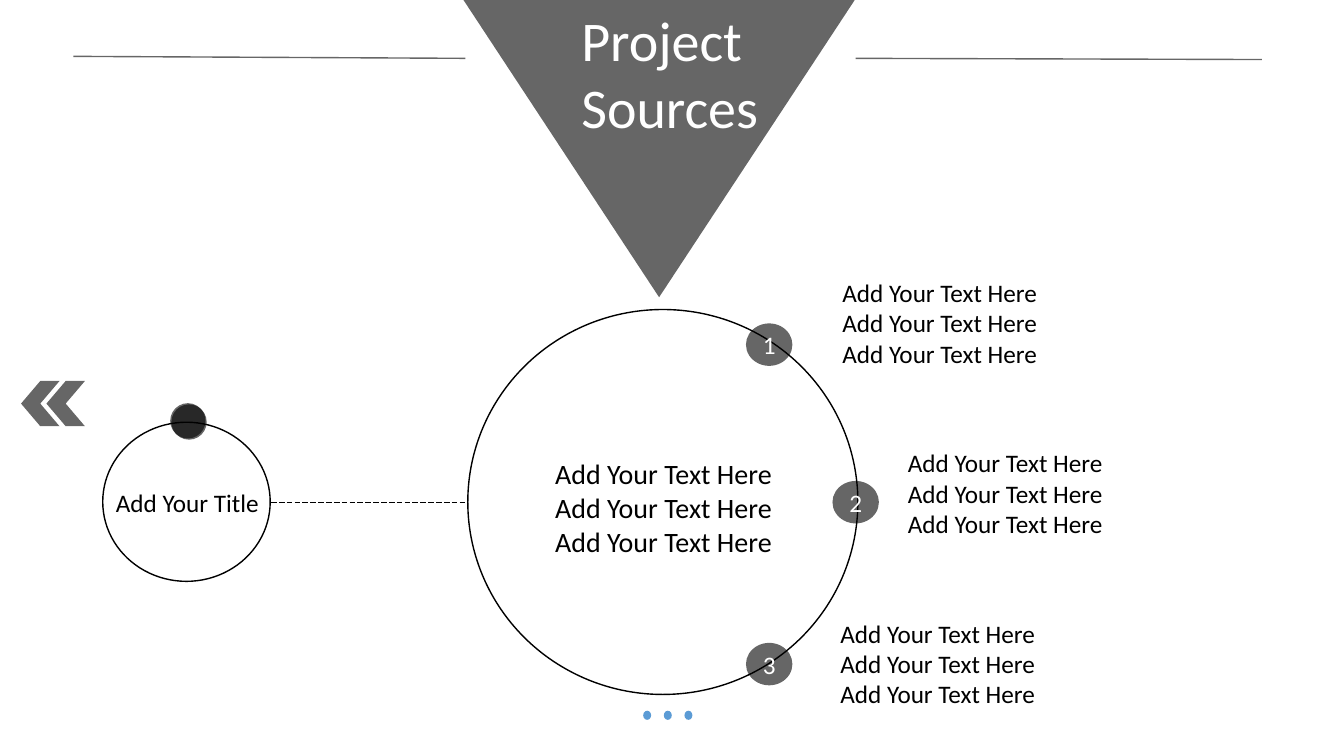
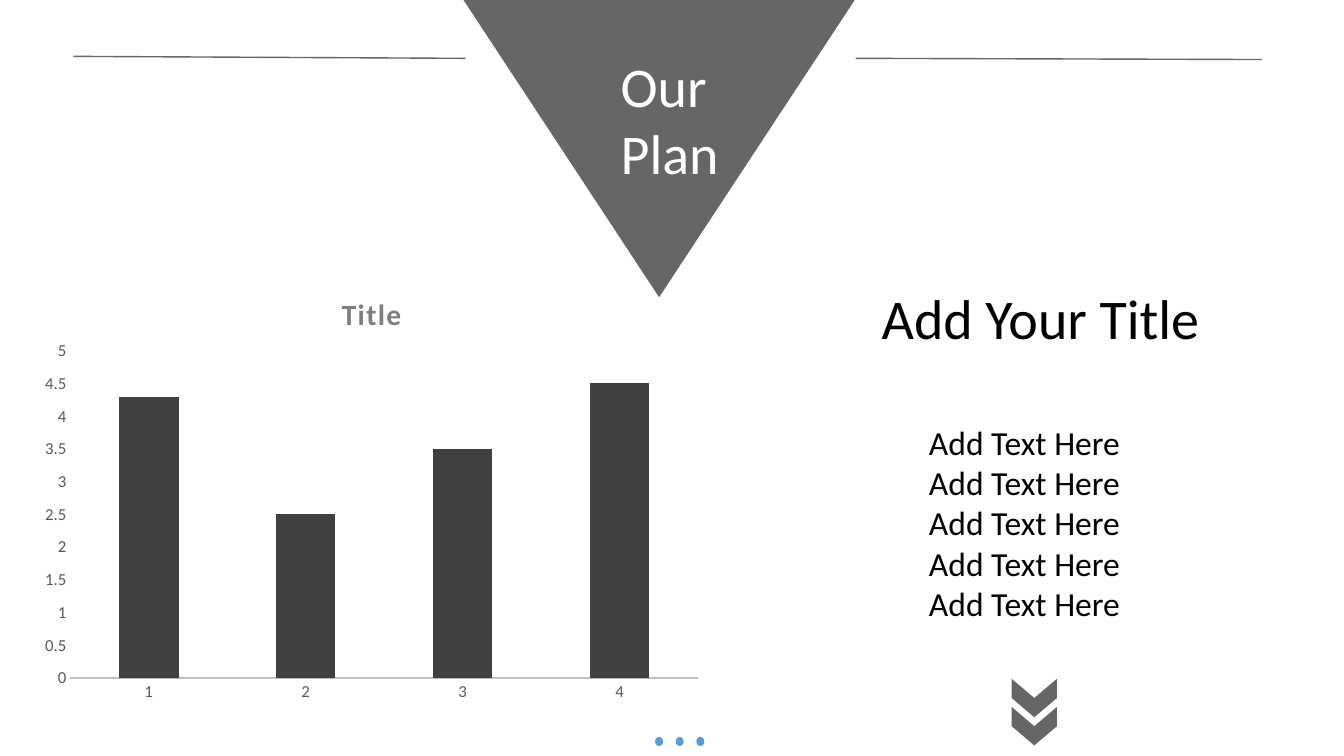
"""Build two slides that share a triangular title banner."""
import pptx
import pptx.chart.data
import pptx.dml.color
import pptx.enum.chart
import pptx.enum.dml
import pptx.enum.shapes
import pptx.enum.text
import pptx.oxml
import pptx.oxml.ns
import pptx.util

Cm = pptx.util.Cm
Pt = pptx.util.Pt
SHAPE = pptx.enum.shapes.MSO_SHAPE
ALIGN = pptx.enum.text.PP_ALIGN
ANCHOR = pptx.enum.text.MSO_ANCHOR

FONT = "Calibri"
BLACK = "000000"
WHITE = "FFFFFF"
BLUE = "5B9BD5"
BAR_GREY = "404040"
AXIS_GREY = "595959"
AXIS_LINE_GREY = "BFBFBF"
CHART_TITLE_GREY = "7F7F7F"
BANNER_OPACITY = 60
LINE_OF_TEXT = "Add Your Text Here"


def color(hex_string):
    """Return the RGB colour of a hex string."""
    return pptx.dml.color.RGBColor.from_string(hex_string)


def set_opacity(shape, percent):
    """Make the fill and line colours of a shape partly transparent."""
    for element in shape.element.spPr.iter(pptx.oxml.ns.qn("a:srgbClr")):
        alpha = element.makeelement(pptx.oxml.ns.qn("a:alpha"), {"val": str(percent * 1000)})
        element.append(alpha)


def set_font(font, size, hex_string, bold=False):
    """Format a font."""
    font.name = FONT
    font.size = Pt(size)
    font.bold = bold
    font.color.rgb = color(hex_string)


def write_text(shape, text, size=18, hex_string=BLACK, align=ALIGN.LEFT,
               anchor=ANCHOR.TOP, inset=(0.25, 0.13)):
    """Write each line of the text as an unbulleted paragraph of the shape."""
    frame = shape.text_frame
    frame.text = text
    frame.word_wrap = True
    frame.auto_size = pptx.enum.text.MSO_AUTO_SIZE.NONE
    frame.vertical_anchor = anchor
    frame.margin_left = frame.margin_right = Cm(inset[0])
    frame.margin_top = frame.margin_bottom = Cm(inset[1])
    for paragraph in frame.paragraphs:
        properties = paragraph._p.get_or_add_pPr()
        properties.set("marL", "0")
        properties.set("indent", "0")
        properties.append(properties.makeelement(pptx.oxml.ns.qn("a:buNone"), {}))
        paragraph.alignment = align
        paragraph.space_before = Pt(0)
        for run in paragraph.runs:
            set_font(run.font, size, hex_string)


def place(shape, left, top, width, height):
    """Move and size a placeholder."""
    shape.left, shape.top = Cm(left), Cm(top)
    shape.width, shape.height = Cm(width), Cm(height)


def add_text(slide, text, left, top, width, height, **text_format):
    """Add a text box."""
    box = slide.shapes.add_textbox(Cm(left), Cm(top), Cm(width), Cm(height))
    write_text(box, text, **text_format)


def add_shape(slide, kind, left, top, width, height, fill=None, line=None,
              opacity=100, rotation=0):
    """Add a preset shape without shadow."""
    shape = slide.shapes.add_shape(kind, Cm(left), Cm(top), Cm(width), Cm(height))
    shape.shadow.inherit = False
    shape.rotation = rotation
    if fill:
        shape.fill.solid()
        shape.fill.fore_color.rgb = color(fill)
    else:
        shape.fill.background()
    if line:
        shape.line.color.rgb = color(line)
        shape.line.width = Pt(1)
    else:
        shape.line.fill.background()
    if opacity < 100:
        set_opacity(shape, opacity)
    return shape


def add_line(slide, start, end, width=1, dash=None, opacity=100):
    """Add a straight black line."""
    connector = slide.shapes.add_connector(
        pptx.enum.shapes.MSO_CONNECTOR.STRAIGHT,
        Cm(start[0]), Cm(start[1]), Cm(end[0]), Cm(end[1]))
    connector.line.color.rgb = color(BLACK)
    connector.line.width = Pt(width)
    if dash:
        connector.line.dash_style = dash
    if opacity < 100:
        set_opacity(connector, opacity)
    properties = connector.element.spPr
    properties.append(properties.makeelement(pptx.oxml.ns.qn("a:effectLst"), {}))


def add_banner_slide(presentation, title, title_left, title_top):
    """Add a slide with the triangular banner, its side lines and its title."""
    slide = presentation.slides.add_slide(presentation.slide_layouts[1])
    triangle = add_shape(slide, SHAPE.ISOSCELES_TRIANGLE, 11.68, 0, 9.86, 7.49,
                         fill=BLACK, opacity=BANNER_OPACITY, rotation=180)
    add_line(slide, (1.85, 1.42), (11.73, 1.47), opacity=BANNER_OPACITY)
    add_line(slide, (21.56, 1.47), (31.8, 1.5), opacity=BANNER_OPACITY)
    heading = slide.shapes.title
    heading.element.addprevious(triangle.element)
    place(heading, title_left, title_top, 5.2, 3.68)
    write_text(heading, title, size=40, hex_string=WHITE)
    return slide


def fill_body(slide, lines, size, left, top, width, height):
    """Write a list into the body placeholder."""
    body = slide.placeholders[1]
    place(body, left, top, width, height)
    write_text(body, "\n".join(lines), size=size)


def add_dots(slide, left, top):
    """Add the row of three blue dots."""
    for index in range(3):
        add_shape(slide, SHAPE.FLOWCHART_CONNECTOR, left + index * 0.52, top,
                  0.2, 0.23, fill=BLUE)


def add_chevrons(slide, positions, rotation):
    """Add grey chevrons at the given positions."""
    for left, top in positions:
        add_shape(slide, SHAPE.CHEVRON, left, top, 0.97, 1.14, fill=BLACK,
                  opacity=BANNER_OPACITY, rotation=rotation)


def set_layout(parent, position, x, y, width=None, height=None):
    """Fix the place of a chart title or plot area as fractions of the chart."""
    for old in parent.findall(pptx.oxml.ns.qn("c:layout")):
        parent.remove(old)
    values = {"xMode": "edge", "yMode": "edge", "x": x, "y": y}
    if width:
        values = {"layoutTarget": "inner", **values, "w": width, "h": height}
    items = "".join(f'<c:{name} val="{value}"/>' for name, value in values.items())
    parent.insert(position, pptx.oxml.parse_xml(
        f'<c:layout {pptx.oxml.ns.nsdecls("c")}><c:manualLayout>{items}'
        '</c:manualLayout></c:layout>'))


def format_axis(axis):
    """Give an axis its font and remove its tick marks and gridlines."""
    axis.has_major_gridlines = False
    axis.major_tick_mark = pptx.enum.chart.XL_TICK_MARK.NONE
    axis.minor_tick_mark = pptx.enum.chart.XL_TICK_MARK.NONE
    set_font(axis.tick_labels.font, 12, AXIS_GREY)


def add_column_chart(slide, title, categories, values, left, top, width, height):
    """Add a column chart with one grey series."""
    data = pptx.chart.data.CategoryChartData()
    data.categories = categories
    data.add_series("Series 1", values)
    chart = slide.shapes.add_chart(
        pptx.enum.chart.XL_CHART_TYPE.COLUMN_CLUSTERED,
        Cm(left), Cm(top), Cm(width), Cm(height), data).chart
    set_font(chart.font, 10, BLACK)
    chart.has_legend = False
    chart.has_title = True
    chart.chart_title.text_frame.text = title
    run = chart.chart_title.text_frame.paragraphs[0].runs[0]
    set_font(run.font, 21, CHART_TITLE_GREY, bold=True)
    run._r.get_or_add_rPr().set("spc", "100")
    chart.chart_title.include_in_layout = False
    set_layout(chart.chart_title._element, 1, 0.45, 0.06)
    set_layout(chart.element.chart.plotArea, 0, 0.06, 0.2, 0.92, 0.73)

    plot = chart.plots[0]
    plot.gap_width = 164
    plot.overlap = -22
    plot.vary_by_categories = False
    series = plot.series[0]
    series.format.fill.solid()
    series.format.fill.fore_color.rgb = color(BAR_GREY)

    format_axis(chart.category_axis)
    chart.category_axis.format.line.color.rgb = color(AXIS_LINE_GREY)
    chart.category_axis.format.line.width = Pt(1.5)
    format_axis(chart.value_axis)
    chart.value_axis.format.line.fill.background()
    chart.value_axis.minimum_scale = 0
    chart.value_axis.maximum_scale = 5
    chart.value_axis.major_unit = 0.5


def add_sources_slide(presentation):
    """Add the slide with the circle and its three numbered notes."""
    slide = add_banner_slide(presentation, "Project\nSources", 14.4, 0)
    add_shape(slide, SHAPE.OVAL, 11.79, 7.8, 9.83, 9.7, line=BLACK)
    fill_body(slide, [LINE_OF_TEXT] * 3, 20, 13.74, 11.38, 6.3, 3.58)
    add_line(slide, (6.83, 12.65), (11.79, 12.65), width=0.5,
             dash=pptx.enum.dml.MSO_LINE.LONG_DASH)

    badges = [(18.8, 8.15), (20.98, 12.12), (18.8, 16.2)]
    note_lefts = [20.98, 22.63, 20.93]
    for index, (badge_place, note_left) in enumerate(zip(badges, note_lefts)):
        add_text(slide, "\n".join([LINE_OF_TEXT] * 3), note_left,
                 6.86 + index * 4.29, 5.8, 2.57)
        badge = add_shape(slide, SHAPE.OVAL, *badge_place, 1.17, 1.07,
                          fill=BLACK, opacity=BANNER_OPACITY)
        write_text(badge, str(index + 1), hex_string=WHITE, align=ALIGN.CENTER,
                   anchor=ANCHOR.MIDDLE, inset=(0, 0))

    add_shape(slide, SHAPE.OVAL, 2.59, 10.64, 4.22, 4.01, line=BLACK)
    add_text(slide, "Add Your Title", 2.67, 12.14, 4.4, 1.02)
    add_chevrons(slide, [(1.17, 9.6), (0.53, 9.6)], rotation=180)
    add_dots(slide, 16.21, 17.91)
    for left, top in [(4.32, 10.19), (4.29, 10.16)]:
        add_shape(slide, SHAPE.OVAL, left, top, 0.89, 0.89, fill=BLACK,
                  opacity=BANNER_OPACITY)


def add_plan_slide(presentation):
    """Add the slide with the column chart and the list."""
    slide = add_banner_slide(presentation, "Our\nPlan", 15.39, 1.17)
    add_column_chart(slide, "Title", ["1", "2", "3", "4"], [4.3, 2.5, 3.5, 4.5],
                     0.74, 6.58, 17.2, 11.3)
    add_text(slide, "Add Your Title", 21.97, 7.01, 9, 1.96, size=40)
    fill_body(slide, ["Add Text Here"] * 5, 24, 23.16, 10.49, 5.8, 6.4)
    add_dots(slide, 16.51, 18.57)
    add_chevrons(slide, [(25.58, 17.02), (25.58, 17.73)], rotation=90)


def main():
    """Build and save the presentation."""
    presentation = pptx.Presentation()
    presentation.slide_width = Cm(33.87)
    presentation.slide_height = Cm(19.05)
    add_sources_slide(presentation)
    add_plan_slide(presentation)
    presentation.save("out.pptx")


if __name__ == "__main__":
    main()
